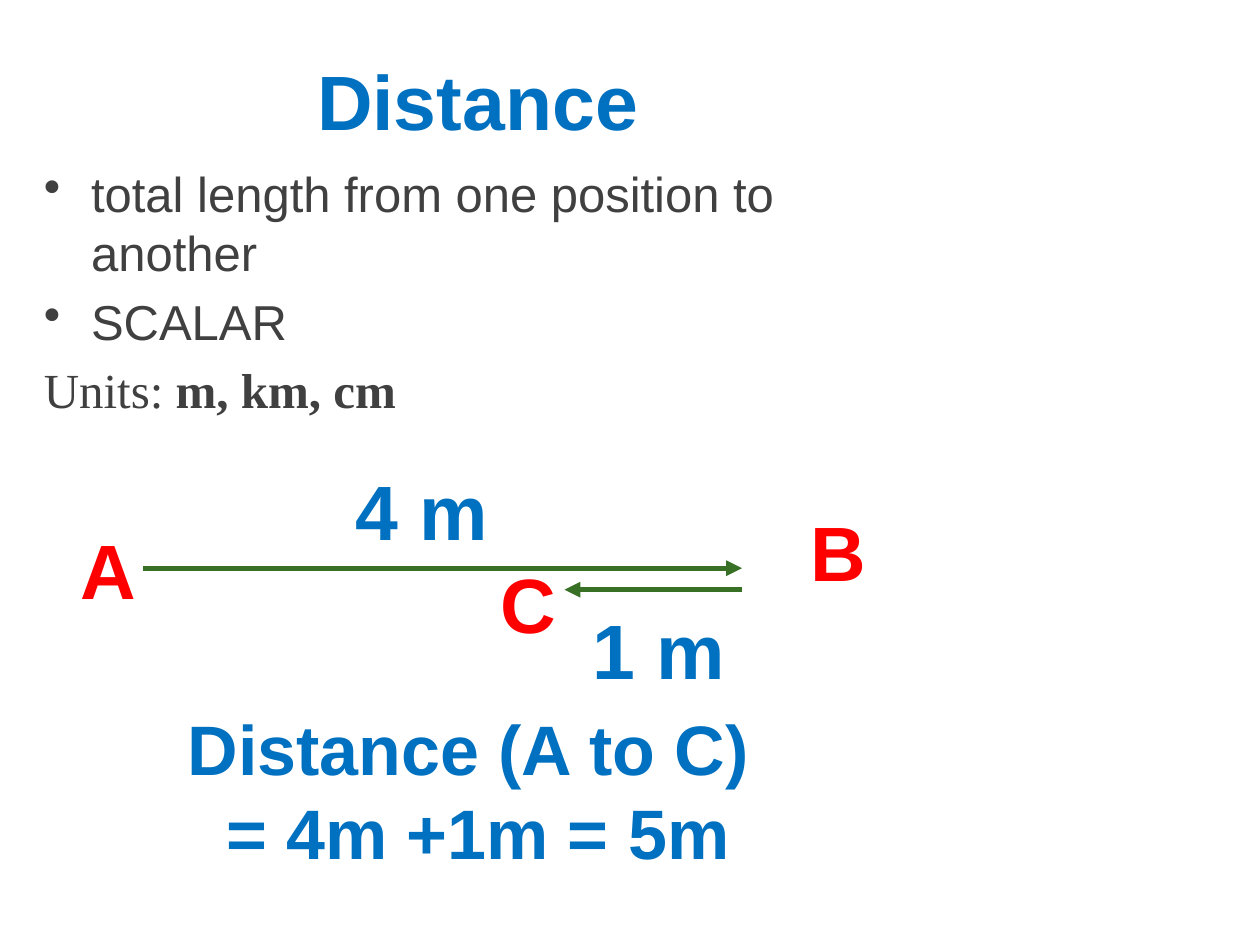
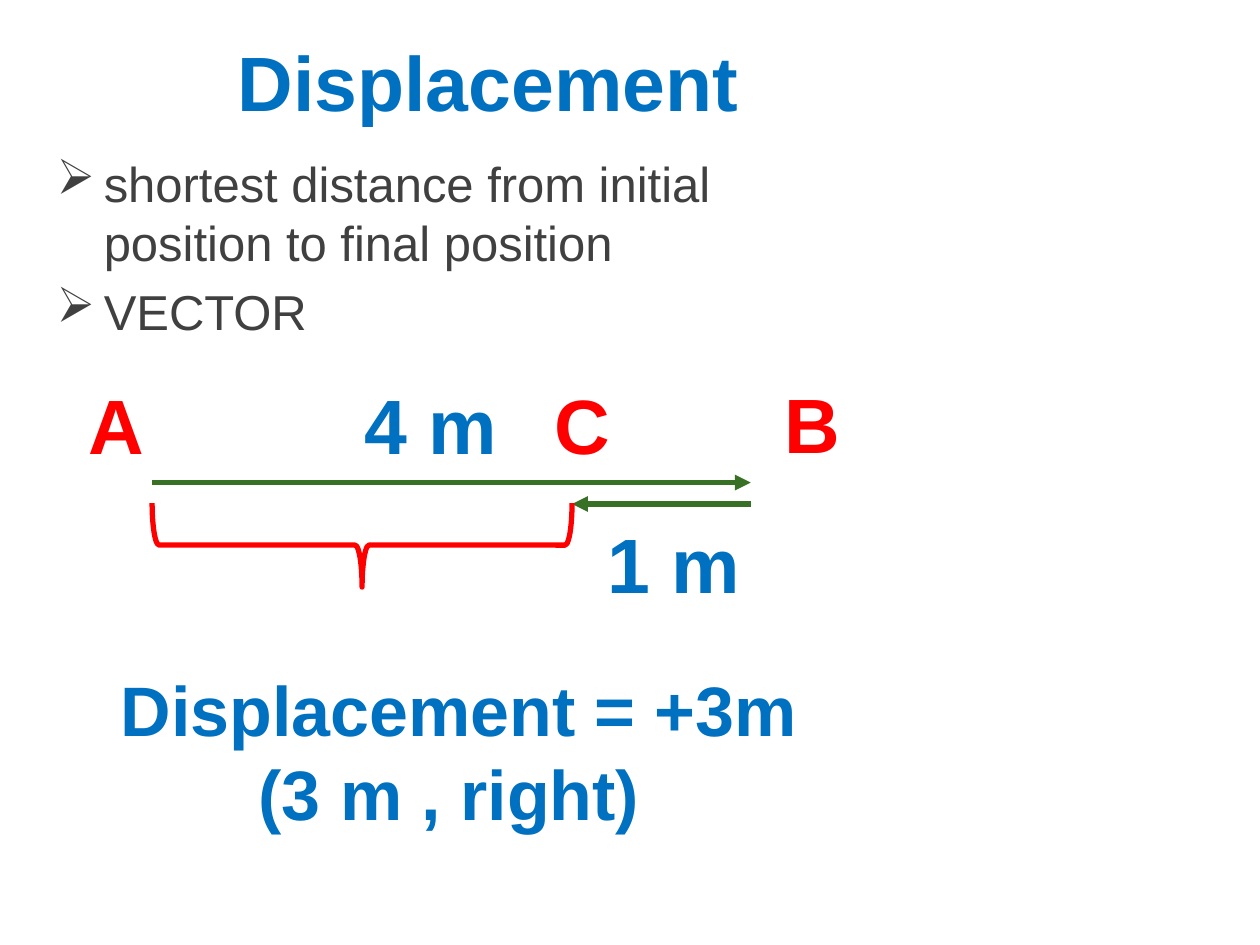
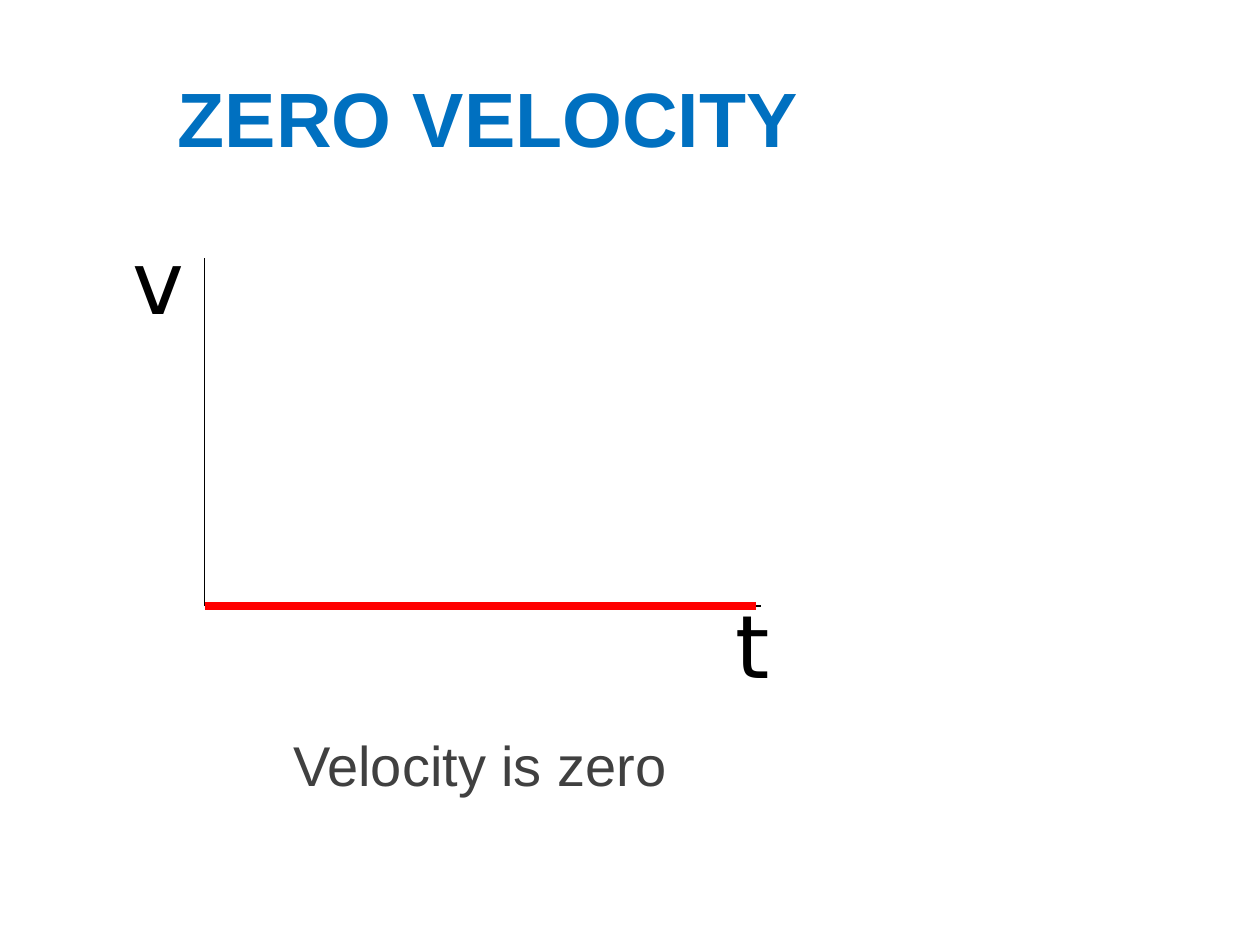
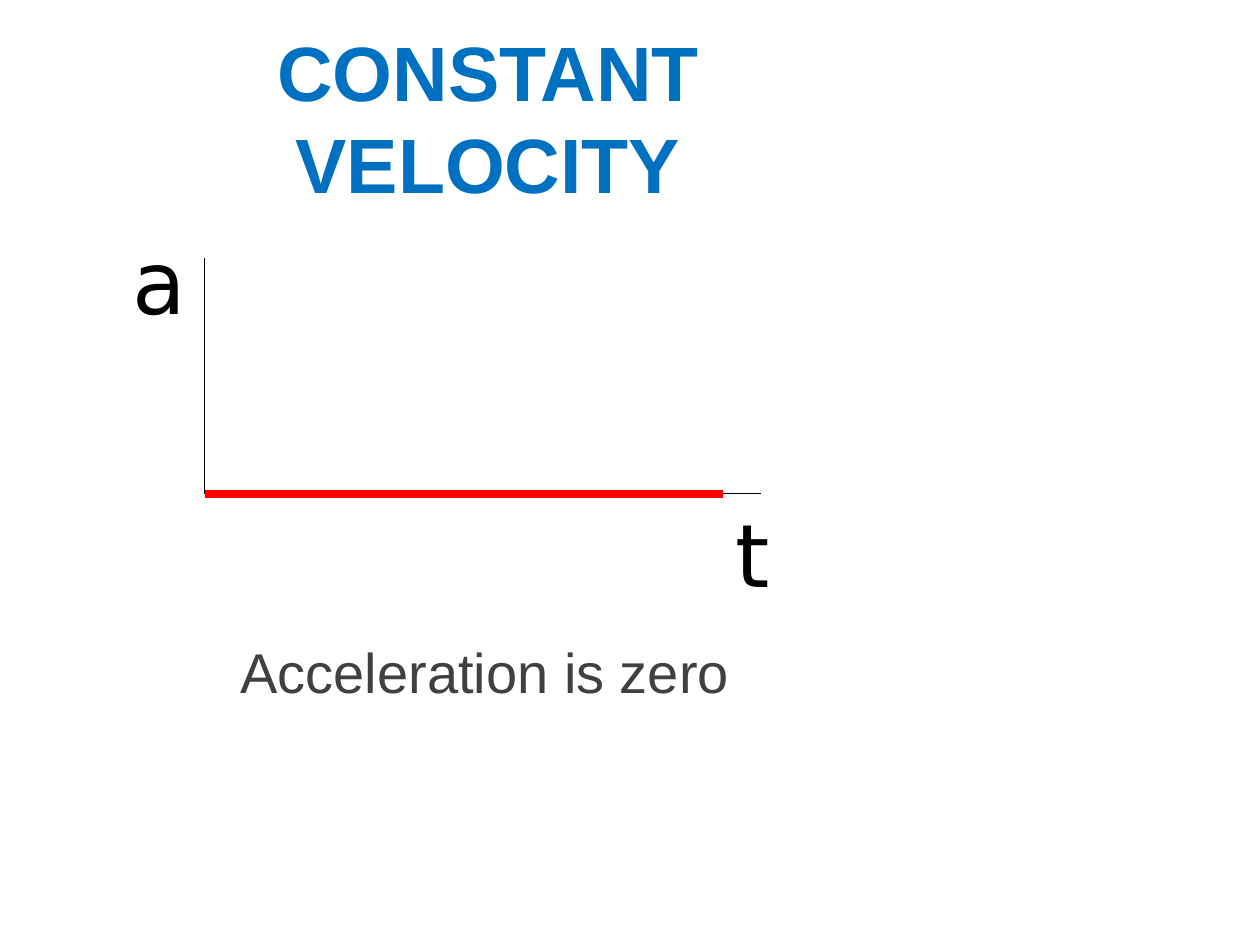
"""Build four slides on distance, displacement and velocity graphs."""
from lxml.etree import SubElement
from pptx import Presentation
from pptx.dml.color import RGBColor
from pptx.enum.shapes import MSO_CONNECTOR, MSO_SHAPE
from pptx.enum.text import MSO_ANCHOR, MSO_AUTO_SIZE, PP_ALIGN
from pptx.oxml.ns import qn
from pptx.util import Pt

BLUE, RED, GREEN, GREY, BLACK = "0070C0", "FF0000", "387025", "404040", "000000"
SANS, SERIF, AXIS_FONT = "Arial", "Times New Roman", "DejaVu Sans"
TITLE_SIZE = (486, 90)
MARK_SIZE = (98, 67)
BULLET_INDENT = Pt(27)


def write_text(shape, box, paragraphs, size, color, align=PP_ALIGN.CENTER,
               anchor=MSO_ANCHOR.MIDDLE, bold=True, font=SANS, gap=0):
    """Place a text shape and fill it with (bullet, runs) paragraphs."""
    shape.left, shape.top, shape.width, shape.height = [Pt(value) for value in box]
    frame = shape.text_frame
    frame.word_wrap = True
    frame.auto_size = MSO_AUTO_SIZE.NONE
    frame.vertical_anchor = anchor
    for index, (bullet, runs) in enumerate(paragraphs):
        paragraph = frame.add_paragraph() if index else frame.paragraphs[0]
        if bullet:
            properties = paragraph._p.get_or_add_pPr()
            properties.set("marL", str(BULLET_INDENT))
            properties.set("indent", str(-BULLET_INDENT))
            SubElement(properties, qn("a:buChar")).set("char", bullet)
        paragraph.alignment = align
        paragraph.space_before = Pt(gap if index else 0)
        for text, *style in runs:
            run = paragraph.add_run()
            run.text = text
            run.font.size = Pt(size)
            run.font.name, run.font.bold = style or (font, bold)
            run.font.color.rgb = RGBColor.from_string(color)


def draw_line(slide, start, end, color, width, arrow=False):
    """Draw a straight line, with an arrowhead at its end if asked."""
    line = slide.shapes.add_connector(
        MSO_CONNECTOR.STRAIGHT, *[Pt(value) for value in (*start, *end)])
    line.line.color.rgb = RGBColor.from_string(color)
    line.line.width = Pt(width)
    if arrow:
        SubElement(line.line._get_or_add_ln(), qn("a:tailEnd")).set("type", "triangle")
    SubElement(line._element.spPr, qn("a:effectLst"))


deck = Presentation()
deck.slide_width, deck.slide_height = Pt(720), Pt(540)
title_only = deck.slide_layouts[5]

motions = [
    dict(title="Distance", title_at=(30, 12), notes_box=(18, 90, 510, 162),
         notes=[("•", [("total length from one position to another",)]),
                ("•", [("SCALAR",)]),
                (None, [("Units: ", SERIF, False), ("m, km, cm", SERIF, True)])],
         out=(82, 424, 324.7), back=(424, 322.6, 337),
         lengths=[("4 m", (169.2, 257.8, 144, 67)), ("1 m", (324, 337, 105, 67))],
         answer_box=(18, 406, 510, 90),
         answer=["Distance (A to C) ", "= 4m +1m = 5m"], brace=None,
         marks=[("A", 13, 291.6), ("B", 430, 281), ("C", 252.7, 311)]),
    dict(title="Displacement", title_at=(36, 1.4), notes_box=(25.2, 84.2, 473.8, 123.8),
         notes=[("➢", [("shortest distance from initial position to final position",)]),
                ("➢", [("VECTOR",)])],
         out=(87, 429, 275.8), back=(429, 327, 288),
         lengths=[("4 m", (174.2, 208.8, 144, 67)), ("1 m", (332.6, 288, 105, 67))],
         answer_box=(7.2, 347.8, 510, 162),
         answer=["Displacement = +3m", "(3 m , right) "], brace=(182.9, 191.5, 48, 240),
         marks=[("A", 17.3, 208.8), ("B", 415.4, 208.1), ("C", 283.7, 208.8)]),
]
for motion in motions:
    slide = deck.slides.add_slide(title_only)
    write_text(slide.shapes.title, (*motion["title_at"], *TITLE_SIZE),
               [(None, [(motion["title"],)])], 44, BLUE)
    write_text(slide.shapes.add_textbox(0, 0, 0, 0), motion["notes_box"], motion["notes"],
               28, GREY, PP_ALIGN.LEFT, MSO_ANCHOR.TOP, bold=False, gap=5.6)
    for start_x, end_x, y in (motion["out"], motion["back"]):
        draw_line(slide, (start_x, y), (end_x, y), GREEN, 3, arrow=True)
    for length, box in motion["lengths"]:
        write_text(slide.shapes.add_textbox(0, 0, 0, 0), box, [(None, [(length,)])], 44, BLUE)
    write_text(slide.shapes.add_textbox(0, 0, 0, 0), motion["answer_box"],
               [(None, [(text,)]) for text in motion["answer"]], 40, BLUE)
    if motion["brace"]:
        brace = slide.shapes.add_shape(
            MSO_SHAPE.RIGHT_BRACE, *[Pt(value) for value in motion["brace"]])
        brace.rotation = 90
        brace.shadow.inherit = False
        brace.fill.background()
        brace.line.color.rgb = RGBColor.from_string(RED)
        brace.line.width = Pt(3)
    for mark, left, top in motion["marks"]:
        write_text(slide.shapes.add_textbox(0, 0, 0, 0), (left, top, *MARK_SIZE),
                   [(None, [(mark,)])], 44, RED)

axis_x, axis_top, axis_end = 117, 147.6, 434.6
graphs = [
    ("ZERO VELOCITY", "Velocity is zero", (37.4, 414), "v", 346.3, 432, 334.1),
    ("CONSTANT VELOCITY", "Acceleration is zero", (40.3, 360.7), "a", 282.2, 413.3, 282.2),
]
for title, caption, caption_at, quantity, base_y, plot_end, time_top in graphs:
    slide = deck.slides.add_slide(title_only)
    write_text(slide.shapes.title, (36, 21.6, *TITLE_SIZE), [(None, [(title,)])], 44, BLUE)
    write_text(slide.shapes.add_textbox(0, 0, 0, 0), (*caption_at, 473.8, 50.4),
               [(None, [(caption,)])], 32, GREY, anchor=MSO_ANCHOR.TOP, bold=False)
    origin = (axis_x, base_y)
    draw_line(slide, (axis_x, axis_top), origin, BLACK, 0.75)
    draw_line(slide, origin, (axis_end, base_y), BLACK, 0.75)
    draw_line(slide, (plot_end, base_y), origin, RED, 4.5)
    for label, left, top in ((quantity, 68.4, 126), ("t", 413.3, time_top)):
        write_text(slide.shapes.add_textbox(0, 0, 0, 0), (left, top, 41.8, 67.7),
                   [(None, [(label,)])], 50, BLACK, PP_ALIGN.LEFT, MSO_ANCHOR.TOP,
                   bold=False, font=AXIS_FONT)

deck.save("out.pptx")
